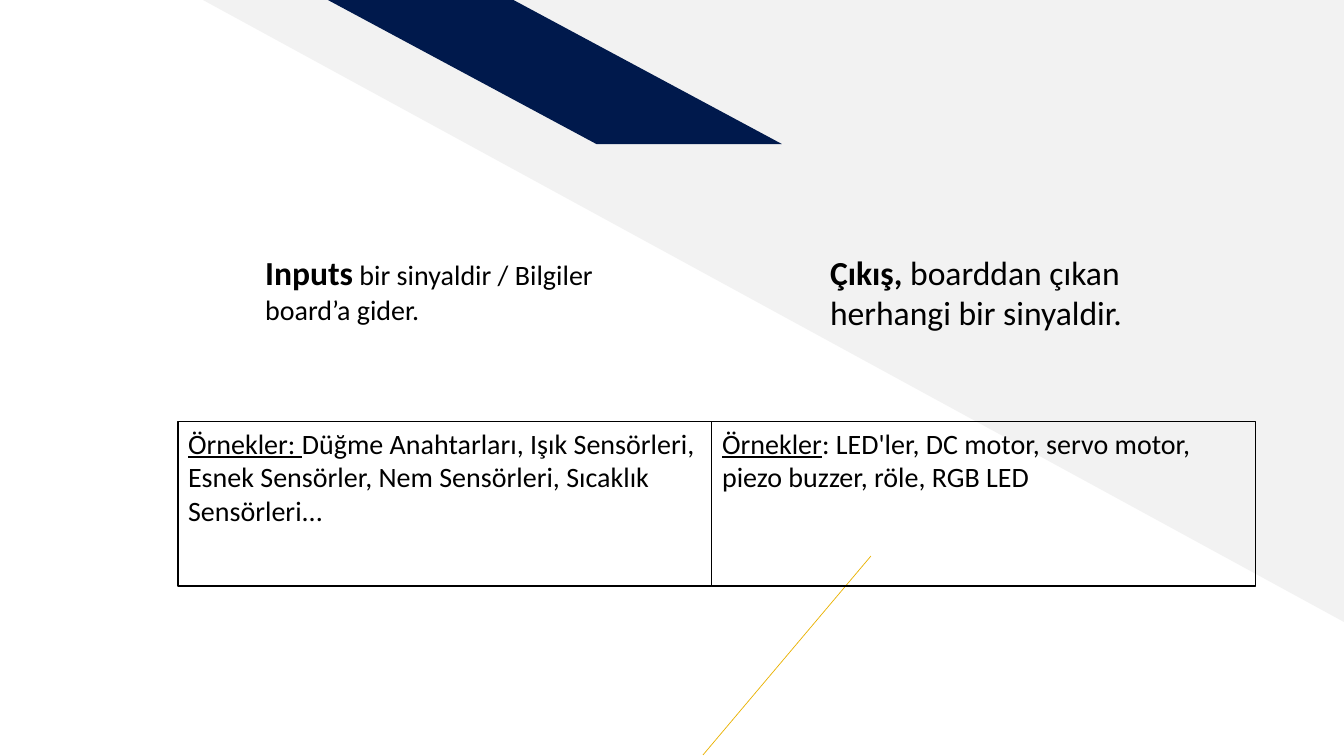
"""Build the slide that compares board inputs and outputs."""
from lxml import etree
from pptx import Presentation
from pptx import util as u
from pptx.dml.color import RGBColor
from pptx.enum import shapes, text
from pptx.oxml.ns import qn

PX = 12192000 / 1344
BLACK = RGBColor(0x00, 0x00, 0x00)
GRAY = RGBColor(0xF2, 0xF2, 0xF2)
NAVY = RGBColor(0x00, 0x19, 0x4C)
GOLD = RGBColor(0xEA, 0xB2, 0x00)


def px(*sizes):
    """Turn pixel lengths into EMU."""
    return [u.Emu(round(size * PX)) for size in sizes]


deck = Presentation()
deck.slide_width, deck.slide_height = px(1344, 756)
slide = deck.slides.add_slide(deck.slide_layouts[4])
title = slide.shapes.title.element
tree = title.getparent()
tree.remove(title)

wedge = slide.shapes.add_shape(shapes.MSO_SHAPE.RIGHT_TRIANGLE, *px(203, 0, 1141, 622))
wedge.rotation = 180
band = slide.shapes.add_shape(shapes.MSO_SHAPE.PARALLELOGRAM, *px(328, 0, 454, 144))
band.adjustments[0] = 1.864
band.element.spPr.find(qn("a:xfrm")).set("flipH", "1")
for shape, color in ((wedge, GRAY), (band, NAVY)):
    shape.shadow.inherit = False
    shape.fill.solid()
    shape.fill.fore_color.rgb = color
    shape.line.fill.background()

line = slide.shapes.add_connector(shapes.MSO_CONNECTOR.STRAIGHT, *px(703, 755, 871, 556))
line.line.color.rgb = GOLD
line.line.width = u.Pt(0.5)
etree.SubElement(line.element.spPr, qn("a:effectLst"))

for place, shape in enumerate((wedge, band, line), 2):
    tree.insert(place, shape.element)

panels = [
    (1, (255, 247, 428, 151), False,
     [("Inputs", 24, True, False),
      (" bir sinyaldir / Bilgiler board’a gider.", 20, False, False)]),
    (3, (820, 247, 436, 151), False,
     [("Çıkış, ", 24, True, False),
      ("boarddan çıkan herhangi bir sinyaldir.", 24, False, False)]),
    (2, (178, 421, 534, 165), True,
     [("Örnekler: ", 20, False, True),
      ("Düğme Anahtarları, Işık Sensörleri, Esnek Sensörler, Nem Sensörleri, "
       "Sıcaklık Sensörleri...", 20, False, False)]),
    (4, (712, 421, 544, 165), True,
     [("Örnekler", 20, False, True),
      (": LED'ler, DC motor, servo motor, piezo buzzer, röle, RGB LED", 20, False, False)]),
]
for index, place, framed, parts in panels:
    panel = slide.placeholders[index]
    panel.left, panel.top, panel.width, panel.height = px(*place)
    if framed:
        panel.line.color.rgb = BLACK
        panel.line.width = u.Pt(0.75)
    frame = panel.text_frame
    frame.word_wrap = True
    frame.auto_size = text.MSO_AUTO_SIZE.NONE
    frame.vertical_anchor = text.MSO_ANCHOR.TOP
    para = frame.paragraphs[0]
    props = para._p.get_or_add_pPr()
    props.set("marL", "0")
    props.set("indent", "0")
    etree.SubElement(props, qn("a:buNone"))
    para.space_before = u.Pt(0)
    for words, size, bold, under in parts:
        run = para.add_run()
        run.text = words
        font = run.font
        font.name = "Calibri"
        font.size = u.Pt(size)
        font.bold = bold
        font.underline = under
        font.color.rgb = BLACK

deck.save("out.pptx")
